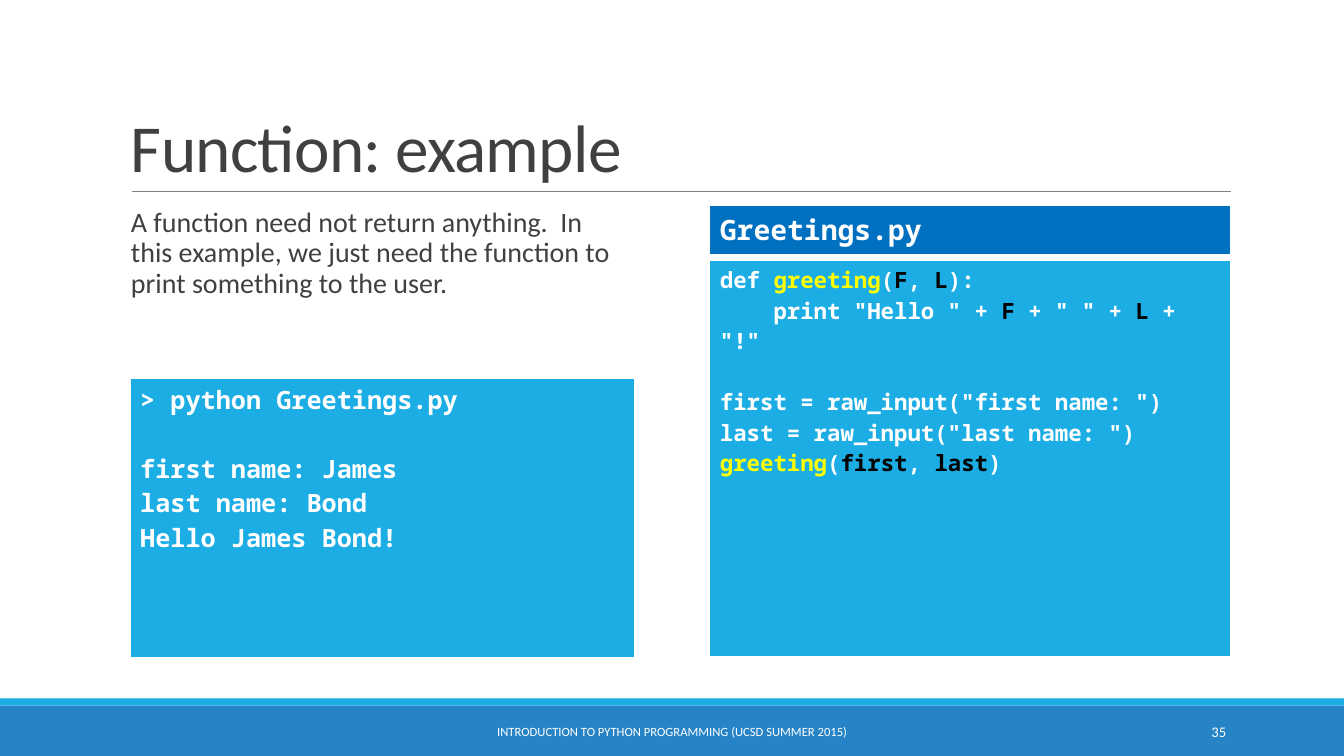
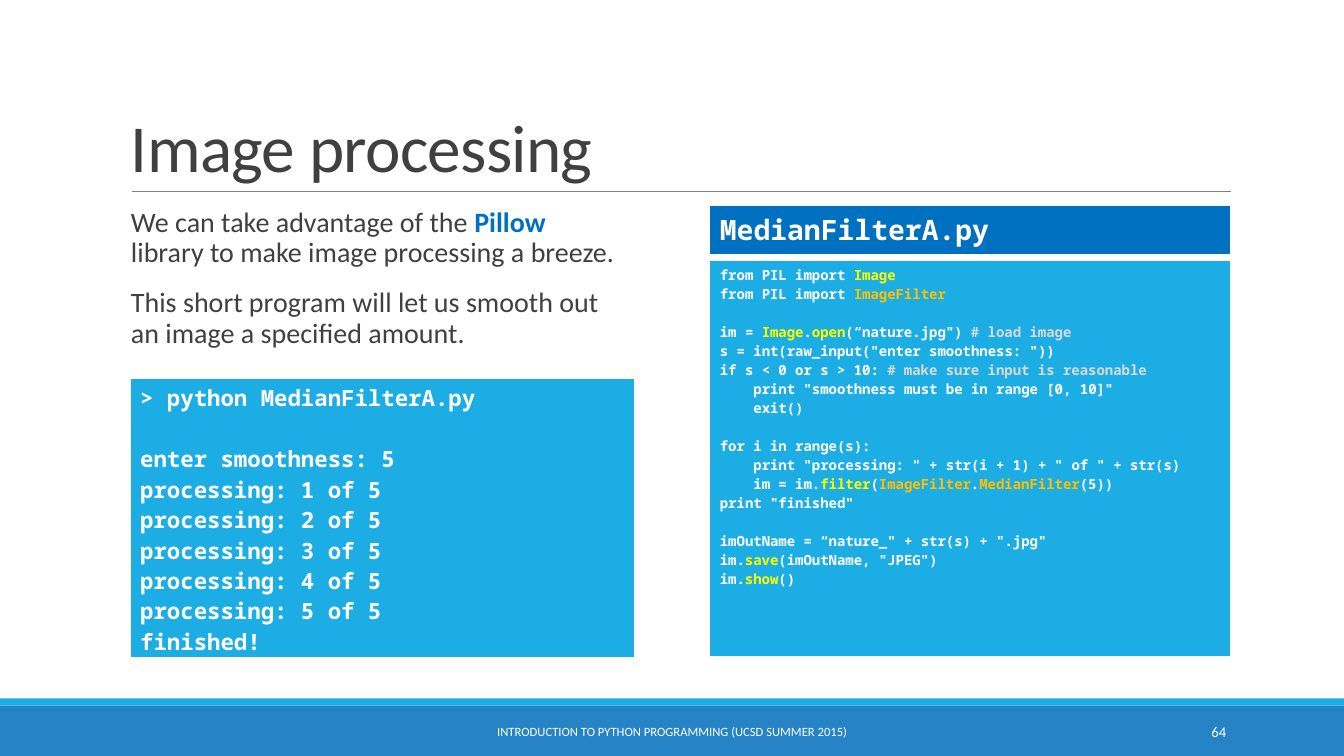
from lxml import etree
from pptx import Presentation
from pptx.dml.color import RGBColor
from pptx.enum import shapes, text
from pptx.oxml.ns import qn
from pptx.util import Inches, Pt

WHITE = RGBColor(0xFF, 0xFF, 0xFF)
BLACK = RGBColor(0x00, 0x00, 0x00)
INK = RGBColor(0x40, 0x40, 0x40)
GREY = RGBColor(0x80, 0x80, 0x80)
COMMENT = RGBColor(0xD9, 0xD9, 0xD9)
SKY = RGBColor(0x1C, 0xAD, 0xE4)
BLUE = RGBColor(0x26, 0x83, 0xC6)
DEEP = RGBColor(0x00, 0x70, 0xC0)
YELLOW = RGBColor(0xFF, 0xFF, 0x00)
ORANGE = RGBColor(0xFF, 0xC0, 0x00)

SANS, MONO = "Calibri", "Noto Sans Mono"
MONO_LINE = 1.36  # line height of the code font, relative to its size
BORDERS = {"L": 1, "R": 1, "T": 1, "B": 3}
FOOTER = "INTRODUCTION TO PYTHON PROGRAMMING (UCSD SUMMER 2015)"
LEFT, RIGHT = text.PP_ALIGN.LEFT, text.PP_ALIGN.RIGHT
CENTER = text.PP_ALIGN.CENTER
TOP, MIDDLE = text.MSO_ANCHOR.TOP, text.MSO_ANCHOR.MIDDLE
BOTTOM = text.MSO_ANCHOR.BOTTOM


class Deck:
    def __init__(self):
        self.prs = Presentation()
        self.prs.slide_width = Inches(13.33)
        self.prs.slide_height = Inches(7.5)
        self.s = None

    def start(self, title, number):
        """Add a slide with the bands, rule, title and footer."""
        self.s = self.prs.slides.add_slide(self.prs.slide_layouts[6])
        self.band(7, 0.5, BLUE)
        self.band(6.93, 0.07, SKY)
        self.rule(1.31, 12.21, 1.9)
        heading = self.textbox((1.2, 0.31, 11, 1.59), [[title]], 48, INK,
                               anchor=BOTTOM, spacing=0.85)
        for r in heading.paragraphs[0].runs:
            r.font._element.set("spc", "-50")
        self.textbox((10.83, 7.06, 1.43, 0.4), [[str(number)]], 10.5, WHITE,
                     anchor=MIDDLE, align=RIGHT)
        self.textbox((4.03, 7.06, 5.27, 0.4), [[FOOTER]], 9, WHITE,
                     anchor=MIDDLE, align=CENTER)

    def band(self, top, height, color):
        sp = self.s.shapes.add_shape(shapes.MSO_SHAPE.RECTANGLE, 0, Inches(top),
                                     self.prs.slide_width, Inches(height))
        sp.shadow.inherit = False
        sp.fill.solid()
        sp.fill.fore_color.rgb = color
        sp.line.fill.background()

    def rule(self, left, right, y):
        line = self.s.shapes.add_connector(
            shapes.MSO_CONNECTOR.STRAIGHT,
            Inches(left), Inches(y), Inches(right), Inches(y))
        line.line.color.rgb = GREY
        line.line.width = Pt(0.5)
        etree.SubElement(line._element.spPr, qn("a:effectLst"))

    def runs(self, p, parts, **style):
        """Fill p; a part is a string or (string, overrides of the style)."""
        for part in parts:
            words, changes = (part, {}) if isinstance(part, str) else part
            r = p.add_run()
            r.text = words
            look = {**style, **changes}
            r.font.color.rgb = look.pop("color")
            for name, value in look.items():
                setattr(r.font, name, value)

    def textbox(self, box, paragraphs, size, color, anchor=TOP, align=LEFT,
                spacing=1.0, gap=0):
        tf = self.s.shapes.add_textbox(*map(Inches, box)).text_frame
        tf.word_wrap = True
        tf.vertical_anchor = anchor
        for i, parts in enumerate(paragraphs):
            p = tf.add_paragraph() if i else tf.paragraphs[0]
            p.alignment = align
            p.line_spacing = spacing
            if i:
                p.space_before = Pt(gap)
            self.runs(p, parts, name=SANS, size=Pt(size), color=color)
        return tf

    def body(self, *paragraphs):
        self.textbox((1.2, 2.02, 5.09, 4.4), paragraphs, 20, INK,
                     spacing=0.9, gap=14)

    def panel(self, box, blocks, size, fill=SKY):
        """Draw a one-cell table of code; blocks are one line apart."""
        table = self.s.shapes.add_table(1, 1, *map(Inches, box)).table
        table.first_row = table.horz_banding = False
        cell = table.cell(0, 0)
        self.borders(cell)
        cell.fill.solid()
        cell.fill.fore_color.rgb = fill
        tf = cell.text_frame
        for b, block in enumerate(blocks):
            for i, parts in enumerate(block):
                p = tf.add_paragraph() if b or i else tf.paragraphs[0]
                if b and not i:
                    p.space_before = Pt(round(size * MONO_LINE, 1))
                self.runs(p, parts, name=MONO, size=Pt(size), color=WHITE,
                          bold=True)

    def borders(self, cell):
        tc_pr = cell._tc.get_or_add_tcPr()
        for side, width in BORDERS.items():
            ln = etree.SubElement(tc_pr, qn("a:ln" + side), w=str(Pt(width)))
            fill = etree.SubElement(ln, qn("a:solidFill"))
            etree.SubElement(fill, qn("a:srgbClr"), val=str(WHITE))

    def program(self, name, blocks, size):
        self.panel((7.04, 2.58, 5.17, 3.95), blocks, size)
        self.panel((7.04, 2.04, 5.17, 0.5), [[[name]]], 20, DEEP)

    def console(self, command, output, size):
        self.panel((1.29, 3.75, 5, 2.79),
                   [[[command]], [[line] for line in output]], size)


def tint(words, color=YELLOW):
    return words, {"color": color}


def function_slide(deck):
    deck.start("Function: example", 35)
    deck.body(["A function need not return anything.  In this example, we just "
               "need the function to print something to the user."])
    greeting, f, l = tint("greeting"), tint("F", BLACK), tint("L", BLACK)
    deck.program("Greetings.py", [
        [["def ", greeting, "(", f, ", ", l, "):"],
         ['    print "Hello " + ', f, ' + " " + ', l, ' + "!"']],
        [['first = raw_input("first name: ")'],
         ['last = raw_input("last name: ")'],
         [greeting, "(", tint("first", BLACK), ", ", tint("last", BLACK), ")"]],
    ], 16)
    deck.console("> python Greetings.py",
                 ["first name: James", "last name: Bond", "Hello James Bond!"],
                 18)


def image_slide(deck):
    deck.start("Image processing", 64)
    deck.body(
        ["We can take advantage of the ",
         ("Pillow", {"color": DEEP, "bold": True}),
         " library to make image processing a breeze."],
        ["This short program will let us smooth out an image a specified "
         "amount."])
    image, image_filter = tint("Image"), tint("ImageFilter", ORANGE)
    deck.program("MedianFilterA.py", [
        [["from PIL import ", image],
         ["from PIL import ", image_filter]],
        [["im = ", image, ".", tint("open"), '(“nature.jpg") ',
          tint("# load image", COMMENT)],
         ['s = int(raw_input("enter smoothness: "))'],
         ["if s < 0 or s > 10: ",
          tint("# make sure input is reasonable", COMMENT)],
         ['    print "smoothness must be in range [0, 10]"'],
         ["    exit()"]],
        [["for i in range(s):"],
         ['    print "processing: " + str(i + 1) + " of " + str(s)'],
         ["    im = im.", tint("filter"), "(", image_filter, ".",
          tint("MedianFilter", ORANGE), "(5))"],
         ['print "finished"']],
        [['imOutName = “nature_" + str(s) + ".jpg"'],
         ["im.", tint("save"), '(imOutName, "JPEG")'],
         ["im.", tint("show"), "()"]],
    ], 10)
    steps = [f"processing: {i} of 5" for i in range(1, 6)]
    deck.console("> python MedianFilterA.py",
                 ["enter smoothness: 5", *steps, "finished!"], 16)


def main():
    deck = Deck()
    function_slide(deck)
    image_slide(deck)
    deck.prs.save("out.pptx")


if __name__ == "__main__":
    main()
